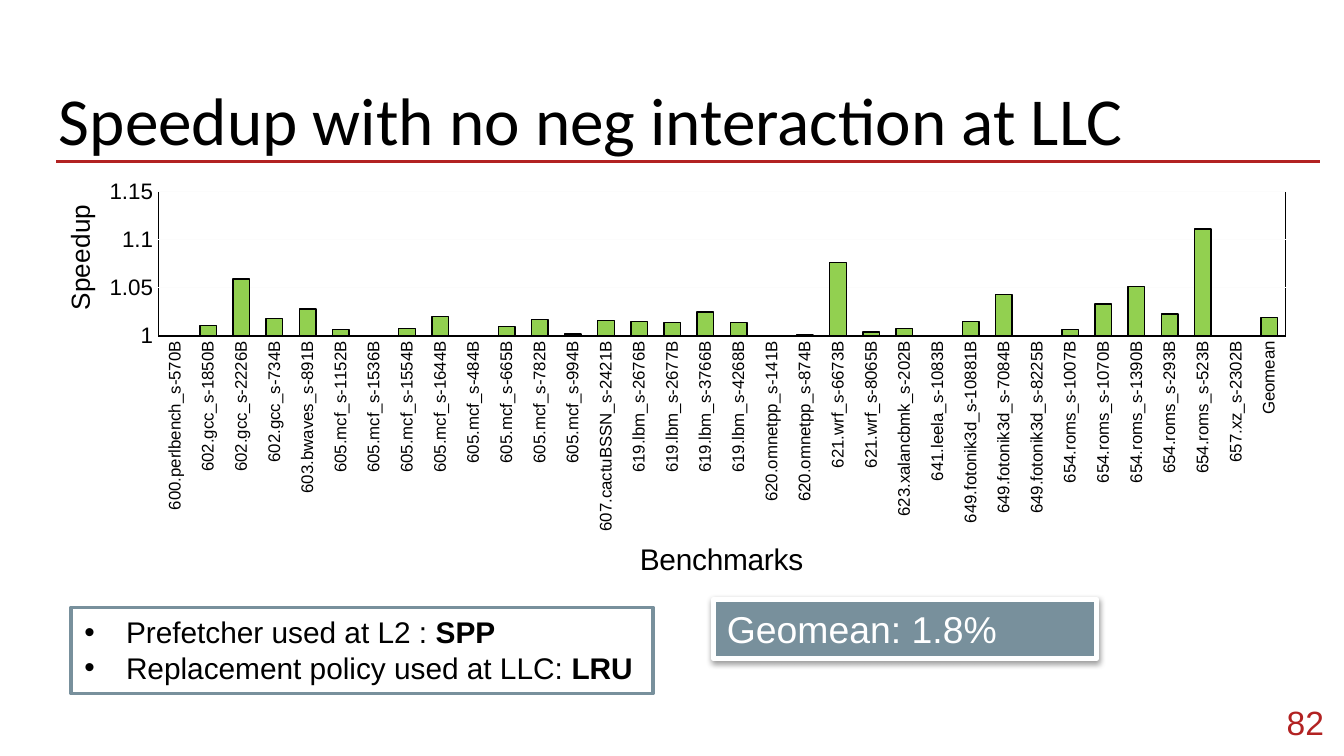
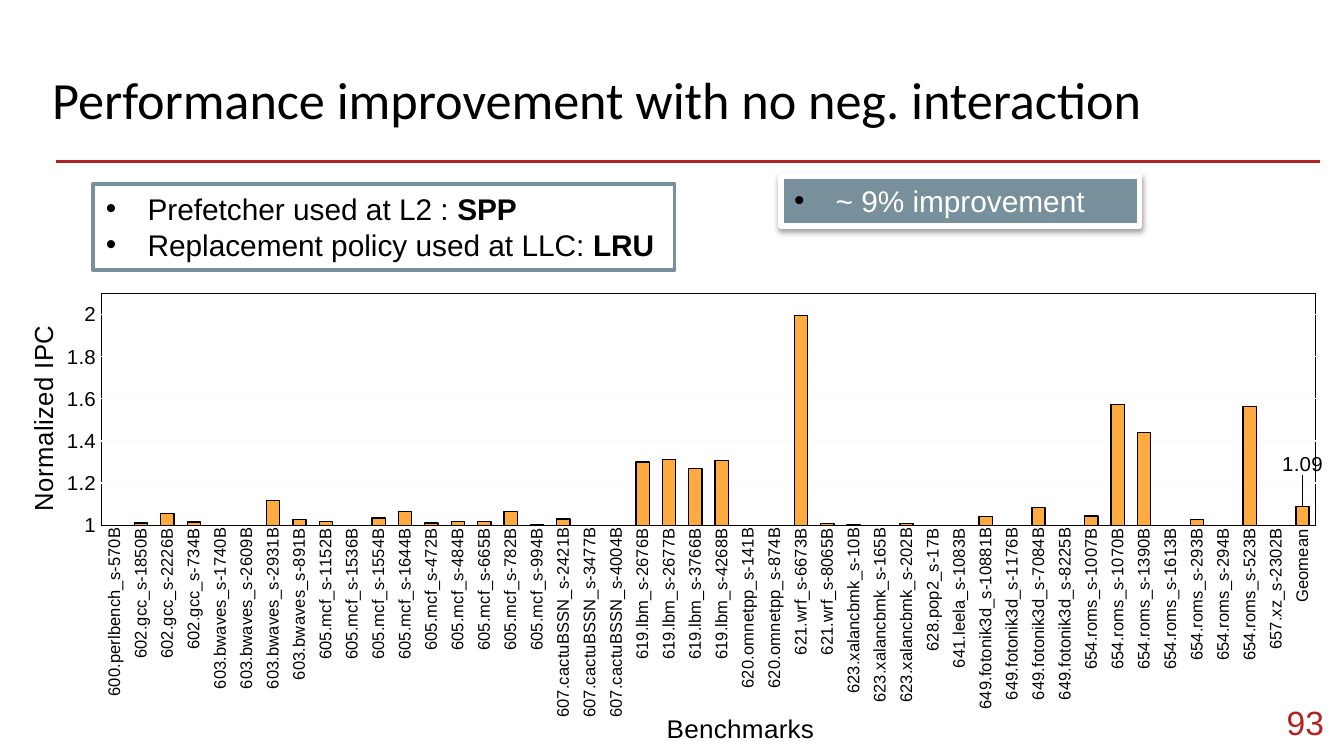
from lxml import etree
from pptx import Presentation
from pptx.chart.data import CategoryChartData
from pptx.dml.color import RGBColor
from pptx.enum.chart import XL_CHART_TYPE, XL_LABEL_POSITION, XL_TICK_MARK
from pptx.enum.shapes import MSO_CONNECTOR, MSO_SHAPE
from pptx.enum.text import MSO_ANCHOR, MSO_AUTO_SIZE, PP_ALIGN
from pptx.oxml import parse_xml
from pptx.oxml.ns import nsdecls, qn
from pptx.util import Inches, Pt

COLUMNS = XL_CHART_TYPE.COLUMN_CLUSTERED
OUTSIDE = XL_LABEL_POSITION.OUTSIDE_END
NO_TICK = XL_TICK_MARK.NONE
STRAIGHT = MSO_CONNECTOR.STRAIGHT
RECTANGLE = MSO_SHAPE.RECTANGLE
MIDDLE = MSO_ANCHOR.MIDDLE
TOP = MSO_ANCHOR.TOP
FIT_SHAPE = MSO_AUTO_SIZE.SHAPE_TO_FIT_TEXT
LEFT, RIGHT = PP_ALIGN.LEFT, PP_ALIGN.RIGHT

WIDTH, HEIGHT = Inches(10), Inches(5.625)
BLACK, WHITE, RED, SLATE = "000000", "FFFFFF", "B22222", "78909C"
GREEN, ORANGE, PALE = "92D050", "FFAB40", "FCFCFC"
BODY_FONT, TITLE_FONT = "Arial", "Calibri"
UPRIGHT = "-5400000"

SETUP = [
    [("Prefetcher used at L2 : ", False), ("SPP", True)],
    [("Replacement policy used at LLC: ", False), ("LRU", True)],
]

SPEEDUP = {
    "600.perlbench_s": {"570B": 1.0},
    "602.gcc_s": {"1850B": 1.011, "2226B": 1.059, "734B": 1.018},
    "603.bwaves_s": {"891B": 1.028},
    "605.mcf_s": {"1152B": 1.007, "1536B": 1.0, "1554B": 1.008, "1644B": 1.02,
                  "484B": 1.0, "665B": 1.01, "782B": 1.017, "994B": 1.002},
    "607.cactuBSSN_s": {"2421B": 1.016},
    "619.lbm_s": {"2676B": 1.015, "2677B": 1.014, "3766B": 1.025, "4268B": 1.014},
    "620.omnetpp_s": {"141B": 1.0, "874B": 1.001},
    "621.wrf_s": {"6673B": 1.076, "8065B": 1.004},
    "623.xalancbmk_s": {"202B": 1.008},
    "641.leela_s": {"1083B": 1.0},
    "649.fotonik3d_s": {"10881B": 1.015, "7084B": 1.043, "8225B": 1.0},
    "654.roms_s": {"1007B": 1.007, "1070B": 1.033, "1390B": 1.051,
                   "293B": 1.023, "523B": 1.111},
    "657.xz_s": {"2302B": 1.0},
}

NORMALIZED_IPC = {
    "600.perlbench_s": {"570B": 1.0},
    "602.gcc_s": {"1850B": 1.01, "2226B": 1.055, "734B": 1.016},
    "603.bwaves_s": {"1740B": 1.0, "2609B": 1.0, "2931B": 1.116, "891B": 1.028},
    "605.mcf_s": {"1152B": 1.019, "1536B": 1.0, "1554B": 1.035, "1644B": 1.065,
                  "472B": 1.01, "484B": 1.019, "665B": 1.017, "782B": 1.066,
                  "994B": 1.005},
    "607.cactuBSSN_s": {"2421B": 1.029, "3477B": 1.0, "4004B": 1.0},
    "619.lbm_s": {"2676B": 1.299, "2677B": 1.312, "3766B": 1.27, "4268B": 1.308},
    "620.omnetpp_s": {"141B": 1.0, "874B": 1.0},
    "621.wrf_s": {"6673B": 1.994, "8065B": 1.008},
    "623.xalancbmk_s": {"10B": 1.001, "165B": 1.0, "202B": 1.007},
    "628.pop2_s": {"17B": 1.0},
    "641.leela_s": {"1083B": 1.0},
    "649.fotonik3d_s": {"10881B": 1.042, "1176B": 1.0, "7084B": 1.084, "8225B": 1.0},
    "654.roms_s": {"1007B": 1.044, "1070B": 1.574, "1390B": 1.441, "1613B": 1.0,
                   "293B": 1.028, "294B": 1.0, "523B": 1.562},
    "657.xz_s": {"2302B": 1.0},
}


def rgb(color):
    """Turn a hex string into a colour."""
    return RGBColor.from_string(color)


def place(left, top, width, height):
    """Turn percentages of the slide's size into lengths."""
    return [round(share * side / 100) for share, side in
            zip((left, top, width, height), (WIDTH, HEIGHT) * 2)]


def style_font(font, size, color=BLACK, bold=False, face=BODY_FONT):
    """Set the face, size, colour and weight of a font."""
    font.name, font.size, font.bold = face, Pt(size), bold
    font.color.rgb = rgb(color)


def style_line(line, color, width):
    """Set the colour and width of a line."""
    line.color.rgb = rgb(color)
    line.width = Pt(width)


def add_bullet(paragraph):
    """Give a paragraph a black hanging bullet."""
    props = paragraph._p.get_or_add_pPr()
    props.set("marL", str(Inches(0.31)))
    props.set("indent", str(-Inches(0.31)))
    color = etree.SubElement(props, qn("a:buClr"))
    etree.SubElement(color, qn("a:srgbClr"), val=BLACK)
    etree.SubElement(props, qn("a:buFont"), typeface=BODY_FONT)
    etree.SubElement(props, qn("a:buChar"), char="•")


def write_lines(frame, lines, size, color=BLACK, bulleted=False):
    """Write lines of (text, bold) runs into a text frame."""
    for index, runs in enumerate(lines):
        paragraph = frame.add_paragraph() if index else frame.paragraphs[0]
        paragraph.alignment = LEFT
        if bulleted:
            add_bullet(paragraph)
        for text, bold in runs:
            run = paragraph.add_run()
            run.text = text
            style_font(run.font, size, color, bold)


def add_label(slide, box, text, size, color, face, align=LEFT, anchor=TOP):
    """Add a one-line text box with even margins."""
    frame = slide.shapes.add_textbox(*place(*box)).text_frame
    frame.word_wrap, frame.vertical_anchor = True, anchor
    frame.margin_left = frame.margin_right = Inches(0.1)
    frame.margin_top = frame.margin_bottom = Inches(0.1)
    frame.paragraphs[0].alignment = align
    run = frame.paragraphs[0].add_run()
    run.text = text
    style_font(run.font, size, color, face=face)


def add_frame(slide, title, title_box, title_size, number):
    """Add the red rule, the title and the slide number."""
    left, top, width, _ = place(4.2, 21.33, 94, 0)
    rule = slide.shapes.add_connector(STRAIGHT, left, top, left + width, top)
    style_line(rule.line, RED, 1.5)
    etree.SubElement(rule._element.spPr, qn("a:effectLst"))
    add_label(slide, title_box, title, title_size, BLACK, TITLE_FONT)
    add_label(slide, (92.5, 91.73, 7, 7.64), number, 18, RED, BODY_FONT, RIGHT, MIDDLE)


def add_panel(slide, box, fill, border, border_width):
    """Add a bordered rectangle that grows with its text."""
    panel = slide.shapes.add_shape(RECTANGLE, *place(*box))
    panel.shadow.inherit = False
    panel.fill.solid()
    panel.fill.fore_color.rgb = rgb(fill)
    style_line(panel.line, border, border_width)
    panel.text_frame.auto_size = FIT_SHAPE
    panel.text_frame.vertical_anchor = TOP
    return panel


def add_setup(slide, left, top):
    """Add the outlined box that names the prefetcher and the policy."""
    panel = add_panel(slide, (left, top, 43.3, 11.38), WHITE, SLATE, 2)
    panel.text_frame.word_wrap = False
    write_lines(panel.text_frame, SETUP, 16, bulleted=True)


def add_result(slide, box, text, size, bulleted=False):
    """Add the raised slate box with the main result."""
    panel = add_panel(slide, box, SLATE, WHITE, 3)
    panel.text_frame.word_wrap = True
    effects = panel._element.spPr.find(qn("a:effectLst"))
    effects.append(parse_xml(
        f'<a:outerShdw {nsdecls("a")} blurRad="{Pt(3.1)}" dist="{Pt(1.6)}" dir="5400000"'
        f' rotWithShape="0"><a:srgbClr val="{BLACK}"><a:alpha val="38000"/></a:srgbClr>'
        '</a:outerShdw>'))
    write_lines(panel.text_frame, [[(text, False)]], size, WHITE, bulleted)


def set_layout(parent, index, **settings):
    """Give a chart part a manual layout."""
    for old in parent.findall(qn("c:layout")):
        parent.remove(old)
    layout = etree.Element(qn("c:layout"))
    manual = etree.SubElement(layout, qn("c:manualLayout"))
    for key, value in settings.items():
        etree.SubElement(manual, qn(f"c:{key}"), val=str(value))
    parent.insert(index, layout)


def title_axis(axis, text, size, x, y):
    """Give an axis a title at a share of the chart's size."""
    frame = axis.axis_title.text_frame
    run = frame.paragraphs[0].add_run()
    run.text = text
    style_font(run.font, size)
    set_layout(axis.axis_title._element, 1, xMode="edge", yMode="edge", x=x, y=y)
    return frame


def style_axes(chart, value_title, name_title, top, step, tick_size):
    """Style the benchmark axis and the value axis."""
    names, values = chart.category_axis, chart.value_axis
    for axis, size in ((names, 9), (values, tick_size)):
        axis.major_tick_mark = axis.minor_tick_mark = NO_TICK
        style_font(axis.tick_labels.font, size)
    style_line(names.format.line, BLACK, 0.75)
    names._element.find(qn("c:txPr")).find(qn("a:bodyPr")).set("rot", UPRIGHT)
    title_axis(names, "Benchmarks", *name_title)

    values.minimum_scale, values.maximum_scale, values.major_unit = 1, top, step
    values.tick_labels.number_format = "General"
    values.tick_labels.number_format_is_linked = False
    values.format.line.fill.background()
    style_line(values.major_gridlines.format.line, PALE, 0.75)
    body = title_axis(values, *value_title)._txBody.find(qn("a:bodyPr"))
    body.set("rot", UPRIGHT)
    body.set("vert", "horz")


def add_benchmarks(slide, box, suites, geomean, color, plot, **axes):
    """Add a column chart of all traces and their geomean."""
    data = CategoryChartData()
    traces = {f"{suite}-{trace}": value for suite, runs in suites.items()
              for trace, value in runs.items()}
    traces["Geomean"] = geomean
    data.categories = list(traces)
    data.add_series("Series 1", list(traces.values()))
    chart = slide.shapes.add_chart(COLUMNS, *place(*box), data).chart
    chart.has_legend = chart.has_title = False
    style_font(chart.font, 10)
    style_axes(chart, **axes)

    bars = chart.plots[0]
    bars.gap_width, bars.overlap, bars.vary_by_categories = 100, -24, False
    series = bars.series[0]
    series.format.fill.solid()
    series.format.fill.fore_color.rgb = rgb(color)
    style_line(series.format.line, BLACK, 0.75)

    area = chart._chartSpace.chart.plotArea
    x, y, w, h = plot
    set_layout(area, 0, layoutTarget="inner", xMode="edge", yMode="edge", x=x, y=y, w=w, h=h)
    area.append(parse_xml(
        f'<c:spPr {nsdecls("c", "a")}><a:noFill/><a:ln w="{Pt(0.75)}"><a:solidFill>'
        f'<a:srgbClr val="{BLACK}"/></a:solidFill></a:ln></c:spPr>'))
    return series


def label_geomean(series):
    """Show the value of the last bar above it."""
    last = len(list(series.values)) - 1
    label = series.points[last].data_label
    style_font(label.font, 11)
    label.position = OUTSIDE
    element = series._element.find(qn("c:dLbls")).find(qn("c:dLbl"))
    set_layout(element, 1, x=0, y=-0.05)


def build_speedup(slide):
    """Build the slide on speedup at the last-level cache."""
    add_frame(slide, "Speedup with no neg interaction at LLC",
              (3.4, 8.53, 93.2, 11.2), 36, "82")
    add_setup(slide, 5.3, 80.36)
    add_result(slide, (53.1, 79.29, 28.5, 7.82), "Geomean: 1.8%", 20)
    add_benchmarks(slide, (3.4, 22.58, 93.2, 54.76), SPEEDUP, 1.019, GREEN,
                   (0.09, 0.05, 0.9, 0.35), top=1.15, step=0.05, tick_size=12,
                   value_title=("Speedup", 14, 0.01, 0.07),
                   name_title=(16, 0.47, 0.88))


def build_improvement(slide):
    """Build the slide on normalized IPC."""
    add_frame(slide, "Performance improvement with no neg. interaction",
              (2.9, 7.11, 93.2, 17.24), 28, "93")
    add_setup(slide, 6.9, 24.36)
    add_result(slide, (58.1, 23.29, 26.7, 6.58), "~ 9% improvement", 16, True)
    series = add_benchmarks(slide, (0.6, 31.47, 99.3, 67.91), NORMALIZED_IPC, 1.09, ORANGE,
                            (0.07, 0.11, 0.91, 0.46), top=2.1, step=0.2, tick_size=11,
                            value_title=("Normalized IPC", 14, 0.01, 0.17),
                            name_title=(14, 0.49, 0.93))
    label_geomean(series)


def main():
    """Build and save the presentation."""
    deck = Presentation()
    deck.slide_width, deck.slide_height = WIDTH, HEIGHT
    for build in (build_speedup, build_improvement):
        build(deck.slides.add_slide(deck.slide_layouts[6]))
    deck.save("out.pptx")


if __name__ == "__main__":
    main()
